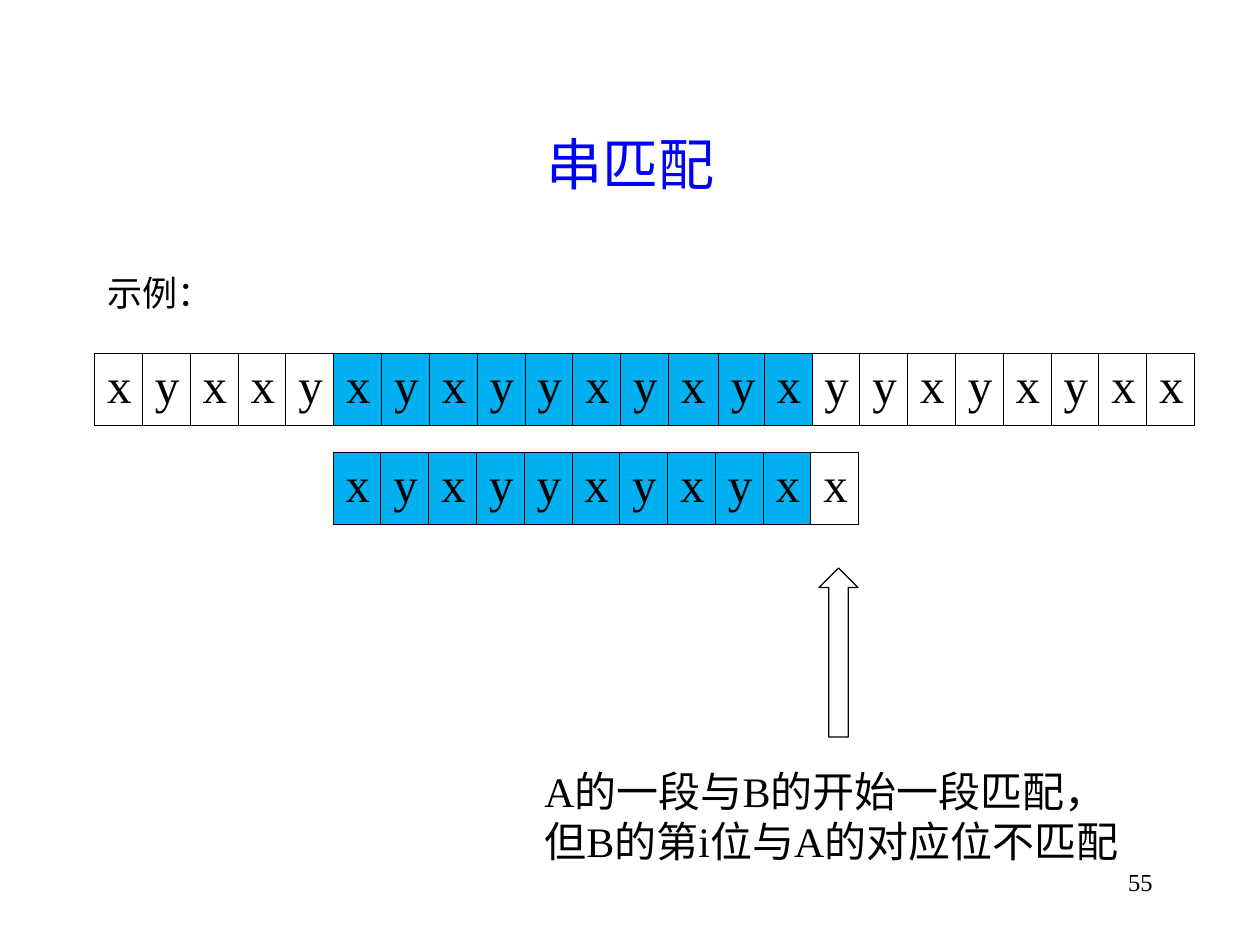
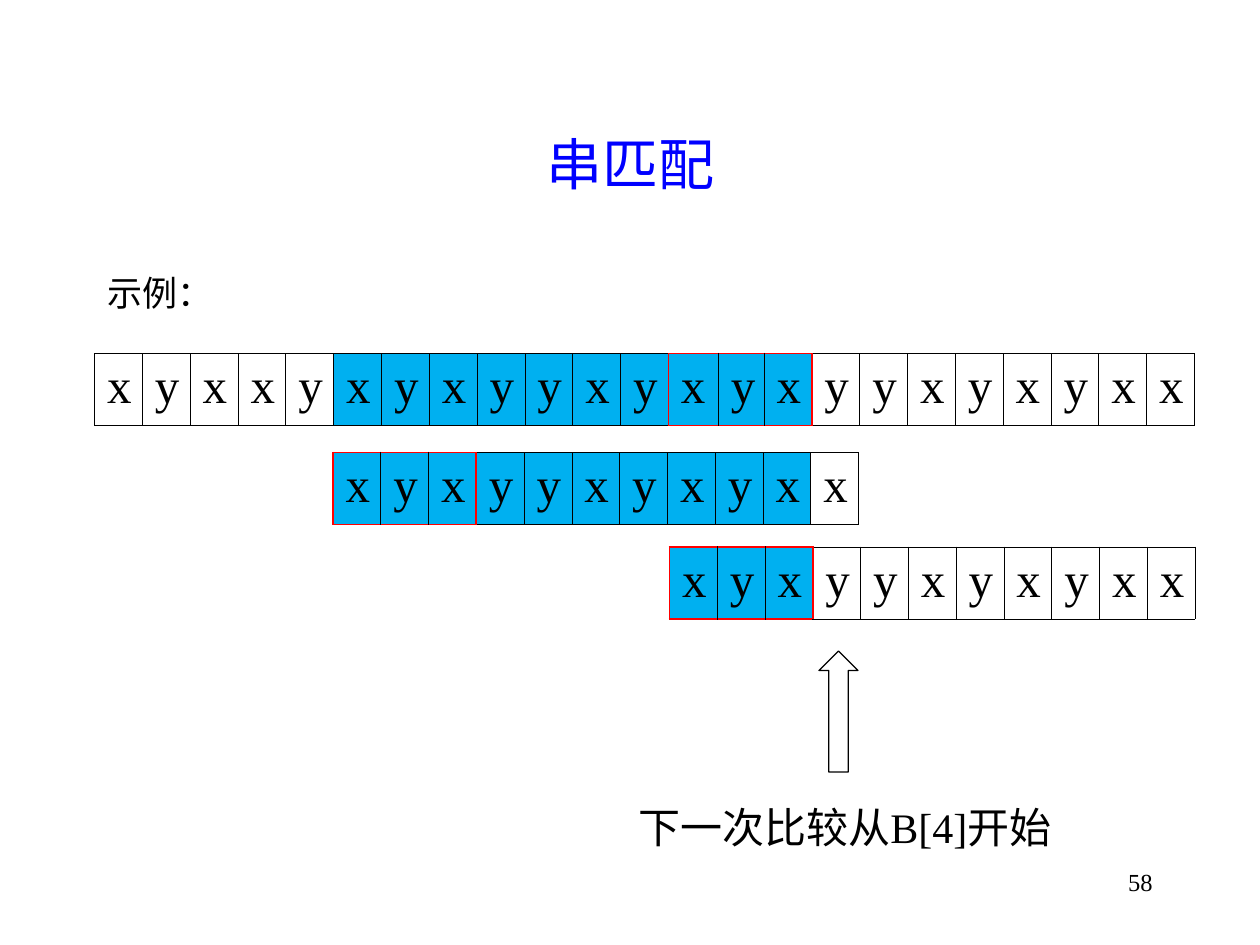
"""Build two slides that show string matching as rows of letter cells."""
from dataclasses import dataclass

from lxml.etree import SubElement as Sub
from pptx import Presentation
from pptx.dml.color import RGBColor as RGB
from pptx.enum.shapes import MSO_SHAPE as Shape
from pptx.enum.text import MSO_ANCHOR as Anchor, PP_ALIGN as Align
from pptx.oxml.ns import qn
from pptx.util import Emu, Pt

SCALE = 914400 // 126
TEXT = "xyxxyxyxyyxyxyxyyxyxyxx"
WORD = "xyxyyxyxyxx"


@dataclass(frozen=True)
class Theme:
    font: str = "Times New Roman"
    ink: str = "000000"
    paper: str = "FFFFFF"
    title: str = "0000FF"
    match: str = "00B0F0"
    mark: str = "FF0000"
    head: int = 32
    cell: int = 28
    note: int = 24
    body: int = 20
    page: int = 14
    thin: float = 0.45
    thick: float = 1.08
    edge: float = 0.74


THEME = Theme()


def px(num):
    return Emu(round(num * SCALE))


def style(para, size, color=THEME.ink, align=Align.LEFT):
    font = para.font
    font.name, font.size = THEME.font, Pt(size)
    font.color.rgb = RGB.from_string(color)
    para.alignment = align


def label(slide, box, text, size, color=THEME.ink, align=Align.LEFT,
          anchor=Anchor.TOP):
    frame = slide.shapes.add_textbox(*map(px, box)).text_frame
    frame.word_wrap = True
    frame.vertical_anchor = anchor
    para = frame.paragraphs[0]
    para.text = text
    style(para, size, color, align)
    return para


def border(cell, side, red):
    props = cell._tc.get_or_add_tcPr()
    width = THEME.thick if red else THEME.thin
    line = Sub(props, qn("a:ln" + side), w=str(Pt(width)))
    fill = Sub(line, qn("a:solidFill"))
    Sub(fill, qn("a:srgbClr"), val=THEME.mark if red else THEME.ink)


def strip(slide, left, top, width, word, match, mark=None):
    """Draw a word as a table row; match and mark are half-open ranges."""
    count = len(word)
    shape = slide.shapes.add_table(1, count, px(left), px(top), px(width), px(72))
    table = shape.table
    table.first_row = table.horz_banding = False
    first, last = mark or (-9, -9)
    for i, char in enumerate(word):
        table.columns[i].width = px(width / count)
        cell = table.cell(0, i)
        cell.text = char
        style(cell.text_frame.paragraphs[0], THEME.cell)
        inside = first <= i < last
        border(cell, "L", i in (first, last))
        border(cell, "R", i + 1 in (first, last))
        border(cell, "T", inside)
        border(cell, "B", inside)
        cell.fill.solid()
        hit = match[0] <= i < match[1]
        cell.fill.fore_color.rgb = RGB.from_string(THEME.match if hit else THEME.paper)
    return table


def arrow(slide, top, height):
    shape = slide.shapes.add_shape(Shape.UP_ARROW, px(819), px(top), px(39), px(height))
    shape.shadow.inherit = False
    shape.fill.solid()
    shape.fill.fore_color.rgb = RGB.from_string(THEME.paper)
    shape.line.color.rgb = RGB.from_string(THEME.ink)
    shape.line.width = Pt(THEME.edge)


def frame(deck, page, marks=(None, None)):
    """Add a slide with title, lead, page number and the two shared rows."""
    slide = deck.slides.add_slide(deck.slide_layouts[6])
    label(slide, (903, 861, 262, 63), page, THEME.page, align=Align.RIGHT)
    label(slide, (95, 84, 1071, 158), "串匹配", THEME.head, THEME.title,
          Align.CENTER, Anchor.MIDDLE)
    lead = label(slide, (95, 273, 1071, 60), "示例：", THEME.body)
    lead.line_spacing, lead.space_before = 0.8, Pt(5)
    cols = strip(slide, 94.5, 353.5, 1101, TEXT, (5, 15), marks[0]).columns
    cols[12].width += px(2)
    cols[13].width -= px(2)
    strip(slide, 333, 452.5, 526, WORD, (0, 10), marks[1])
    return slide


def main():
    deck = Presentation()
    deck.slide_width, deck.slide_height = px(1260), px(945)

    slide = frame(deck, "55")
    arrow(slide, 568, 169)
    label(slide, (532, 759, 610, 164),
          "A的一段与B的开始一段匹配，但B的第i位与A的对应位不匹配", THEME.note)

    slide = frame(deck, "58", ((12, 15), (0, 3)))
    arrow(slide, 651, 121)
    strip(slide, 669.5, 547, 526, WORD, (0, 3), (0, 3))
    label(slide, (626, 795, 476, 63), "下一次比较从B[4]开始", THEME.note)

    deck.save("out.pptx")


main()
